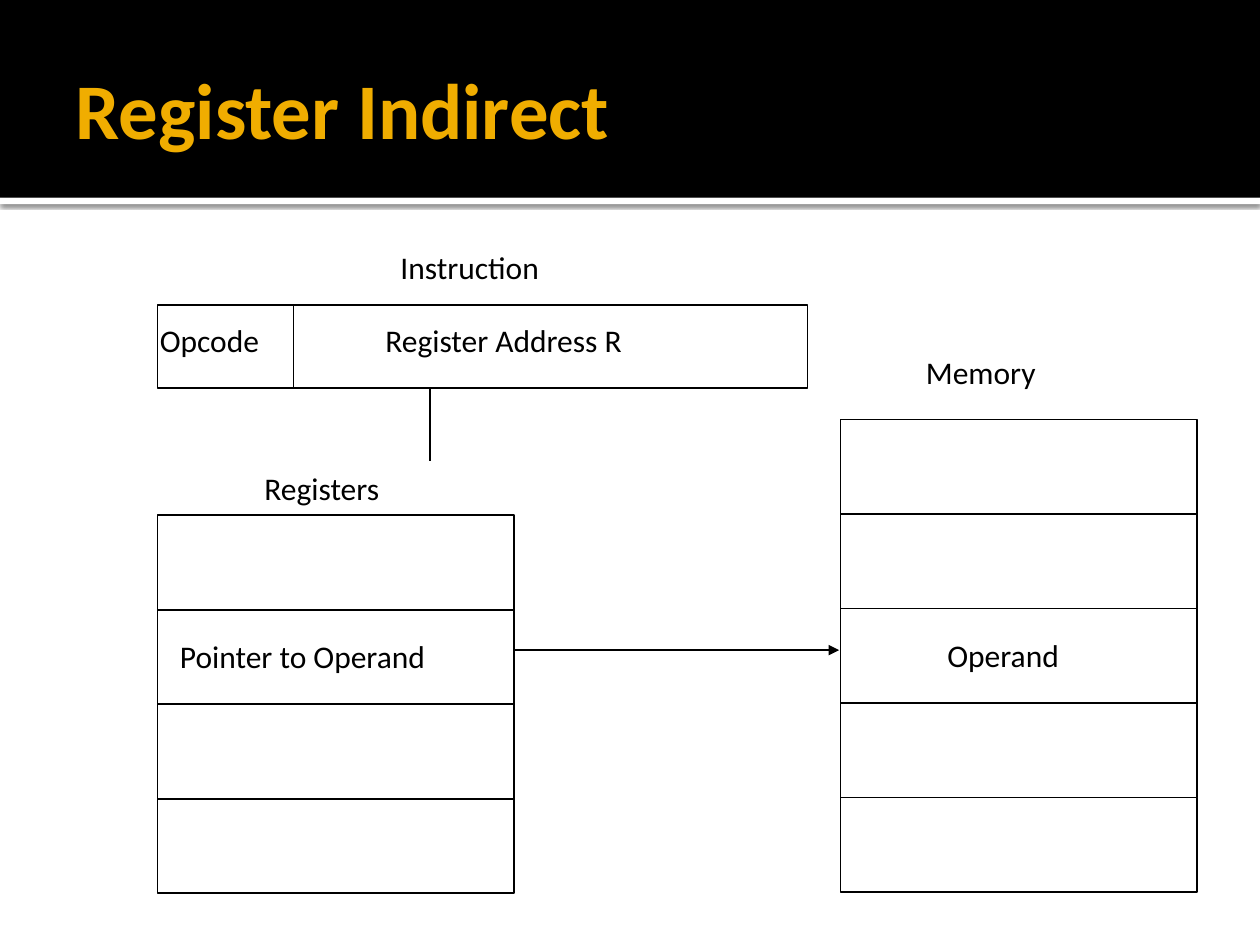
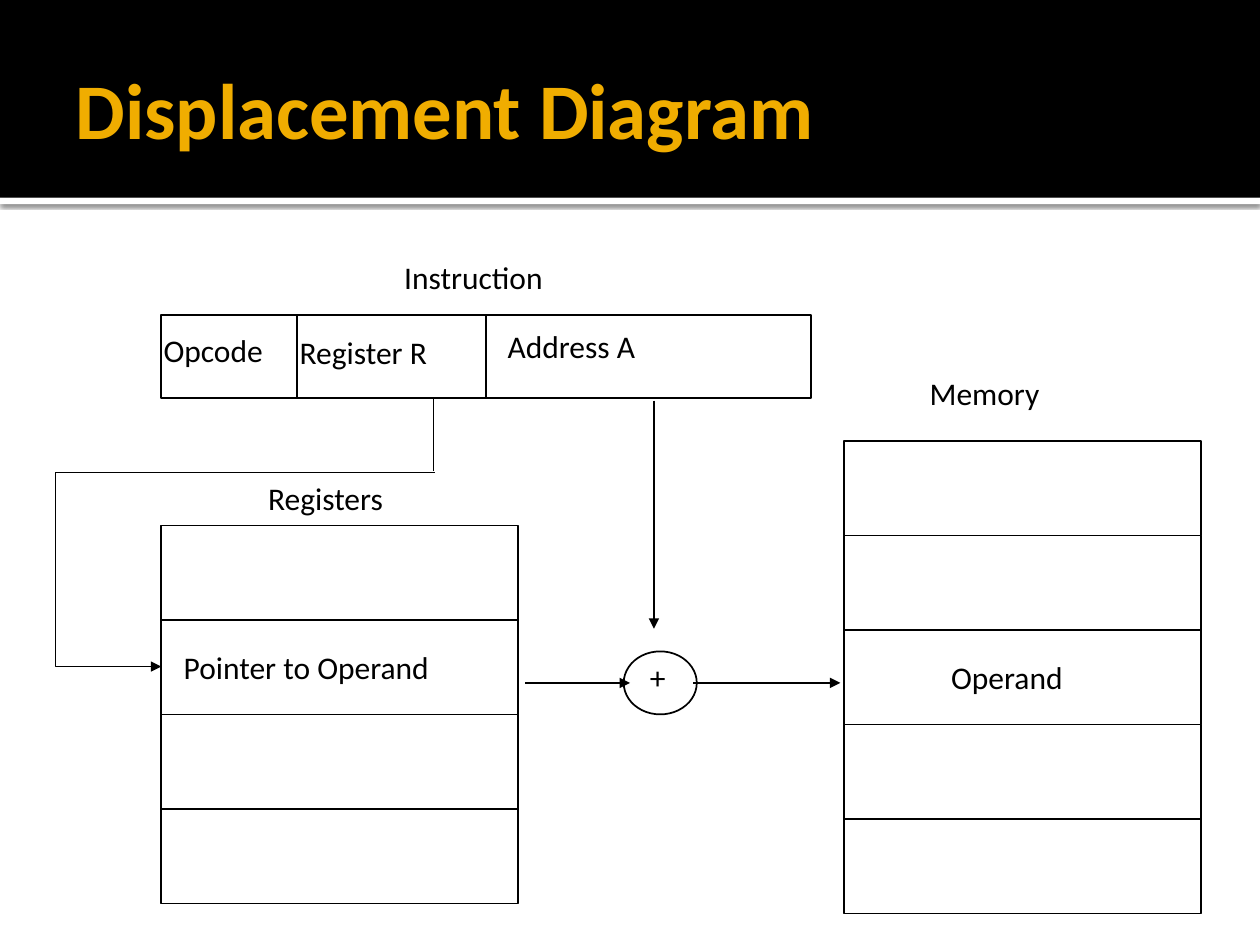
from lxml import etree
from pptx import Presentation
from pptx.dml.color import RGBColor
from pptx.enum.shapes import MSO_CONNECTOR, MSO_SHAPE
from pptx.enum.text import MSO_ANCHOR, MSO_AUTO_SIZE, PP_ALIGN
from pptx.oxml import parse_xml
from pptx.oxml.ns import nsdecls, qn
from pptx.util import Inches, Pt

COLORS = {"ink": "000000", "paper": "FFFFFF", "title": "F0AD00"}
FONT = "Calibri"
BAND_H, RULE_H = 1.57, 0.05
CELL_W, CELL_H = 2.83, 0.75
FIELD_W, FIELD_H, OPCODE_W = 5.16, 0.66, 1.08
REGISTERS_DY, MEMORY_DX = 1.67, 5.42

# Places of fields, dividers, lines and nodes are measured from the slide's origin,
# the top left corner of its instruction box.
DIAGRAMS = [
    {
        "title": "Register Indirect",
        "origin": (1.25, 2.42),
        "memory_dy": 0.91,
        "fields": [("Register Address R", 1.71, 0.08, 2.79)],
        "dividers": [],
        "lines": [],
        "arrows": [((2.83, 2.74), (5.41, 2.74), 0.75)],
        "route": [],
        "node": None,
    },
    {
        "title": "Displacement Diagram",
        "origin": (1.28, 2.5),
        "memory_dy": 1.0,
        "fields": [("Register R", 1.0, 0.09, 1.61), ("Address A", 2.65, 0.05, 1.62)],
        "dividers": [2.58],
        "lines": [((2.17, 1.25), (-0.84, 1.25), 1)],
        "arrows": [
            ((3.91, 0.68), (3.91, 2.49), 1),
            ((4.22, 2.92), (5.39, 2.92), 0.75),
            ((2.89, 2.92), (3.72, 2.92), 0.75),
        ],
        "route": [(-0.84, 1.25), (-0.84, 2.79), (0, 2.79)],
        "node": ("+", 3.67, 2.67, 0.58, 0.5),
    },
]


def rgb(name):
    return RGBColor.from_string(COLORS[name])


def style_line(shape, width=1, arrow=False):
    shape.line.color.rgb = rgb("ink")
    shape.line.width = Pt(width)
    if arrow:
        tail = etree.SubElement(shape.line._get_or_add_ln(), qn("a:tailEnd"))
        tail.set("type", "triangle")


def add_outline(s, x, y, w, h, kind=MSO_SHAPE.RECTANGLE):
    shape = s.shapes.add_shape(kind, Inches(x), Inches(y), Inches(w), Inches(h))
    shape.shadow.inherit = False
    shape.fill.background()
    style_line(shape)


def add_label(s, text, x, y, w):
    tf = s.shapes.add_textbox(Inches(x), Inches(y), Inches(w), Inches(0.5)).text_frame
    tf.word_wrap = True
    tf.text = text
    font = tf.paragraphs[0].runs[0].font
    font.name, font.size, font.color.rgb = FONT, Pt(18), rgb("ink")


def add_line(s, start, end, width=1, arrow=False):
    points = [Inches(v) for v in (*start, *end)]
    line = s.shapes.add_connector(MSO_CONNECTOR.STRAIGHT, *points)
    style_line(line, width, arrow)
    etree.SubElement(line._element.spPr, qn("a:effectLst"))


def add_route(s, points):
    """Draw an open bent line that ends in an arrowhead."""
    points = [(Inches(x), Inches(y)) for x, y in points]
    builder = s.shapes.build_freeform(*points[0])
    builder.add_line_segments(points[1:], close=False)
    shape = builder.convert_to_shape()
    shape.shadow.inherit = False
    shape.fill.background()
    style_line(shape, arrow=True)


def add_stack(s, x, y, rows):
    for row in range(rows):
        add_outline(s, x, y + row * CELL_H, CELL_W, CELL_H)


def move_band_to_layout(s, layout, width):
    """Build the title band and its shadowed rule, and place them behind the layout."""
    bars = [("paper", BAND_H, RULE_H), ("ink", 0, BAND_H)]
    for index, (color, top, height) in enumerate(bars):
        bar = s.shapes.add_shape(MSO_SHAPE.RECTANGLE, 0, Inches(top), width, Inches(height))
        bar.shadow.inherit = False
        bar.fill.solid()
        bar.fill.fore_color.rgb = rgb(color)
        bar.line.fill.background()
        if color == "paper":
            effects = bar._element.spPr.find(qn("a:effectLst"))
            effects.append(parse_xml(
                f'<a:outerShdw {nsdecls("a")} blurRad="{Pt(2.5)}" dist="{Pt(0.8)}" '
                f'dir="5400000" algn="tl" rotWithShape="0"><a:srgbClr val="{COLORS["ink"]}">'
                '<a:alpha val="60000"/></a:srgbClr></a:outerShdw>'))
        layout.shapes._spTree.insert(2 + index, bar._element)


def set_title(s, text):
    title = s.shapes.title
    title.left, title.top, title.width, title.height = map(Inches, (0.5, 0.17, 9, 1.37))
    tf = title.text_frame
    tf.text = text
    tf.auto_size = MSO_AUTO_SIZE.NONE
    tf.vertical_anchor = MSO_ANCHOR.MIDDLE
    tf.margin_left = Inches(0.1)
    tf.margin_right = Inches(0.05)
    p = tf.paragraphs[0]
    p.alignment = PP_ALIGN.LEFT
    font = p.runs[0].font
    font.name, font.size, font.bold = FONT, Pt(45), True
    font.color.rgb = rgb("title")


def draw_diagram(s, diagram):
    x, y = diagram["origin"]
    memory_x, memory_y = x + MEMORY_DX, y + diagram["memory_dy"]
    registers_y = y + REGISTERS_DY

    def at(point):
        return x + point[0], y + point[1]

    add_outline(s, x, y, FIELD_W, FIELD_H)
    for dx in [OPCODE_W, *diagram["dividers"]]:
        add_line(s, at((dx, 0.01)), at((dx, FIELD_H)))
    for text, dx, dy, width in diagram["fields"]:
        add_label(s, text, x + dx, y + dy, width)
    add_label(s, "Opcode", x - 0.08, y + 0.08, 1.23)
    add_label(s, "Instruction", x + 1.83, y - 0.5, 1.64)

    add_stack(s, memory_x, memory_y, 5)
    add_label(s, "Memory", memory_x + 0.58, memory_y - 0.58, 1.35)
    add_label(s, "Operand", memory_x + 0.75, memory_y + 1.67, 1.35)

    add_stack(s, x, registers_y, 4)
    add_label(s, "Registers", x + 0.75, registers_y - 0.42, 1.44)
    add_label(s, "Pointer to Operand", x + 0.08, registers_y + 0.92, 2.73)

    add_line(s, at((2.16, 0.67)), at((2.16, 1.24)))
    for start, end, width in diagram["lines"]:
        add_line(s, at(start), at(end), width)
    if diagram["route"]:
        add_route(s, [at(point) for point in diagram["route"]])
    if diagram["node"]:
        text, dx, dy, w, h = diagram["node"]
        add_outline(s, x + dx, y + dy, w, h, MSO_SHAPE.OVAL)
        add_label(s, text, x + dx + 0.11, y + dy, 0.39)
    for start, end, width in diagram["arrows"]:
        add_line(s, at(start), at(end), width, arrow=True)


def main():
    prs = Presentation()
    prs.slide_width, prs.slide_height = Inches(10), Inches(7.5)
    layout = prs.slide_layouts[5]
    for index, diagram in enumerate(DIAGRAMS):
        s = prs.slides.add_slide(layout)
        if index == 0:
            move_band_to_layout(s, layout, prs.slide_width)
        set_title(s, diagram["title"])
        draw_diagram(s, diagram)
    prs.save("out.pptx")


if __name__ == "__main__":
    main()
